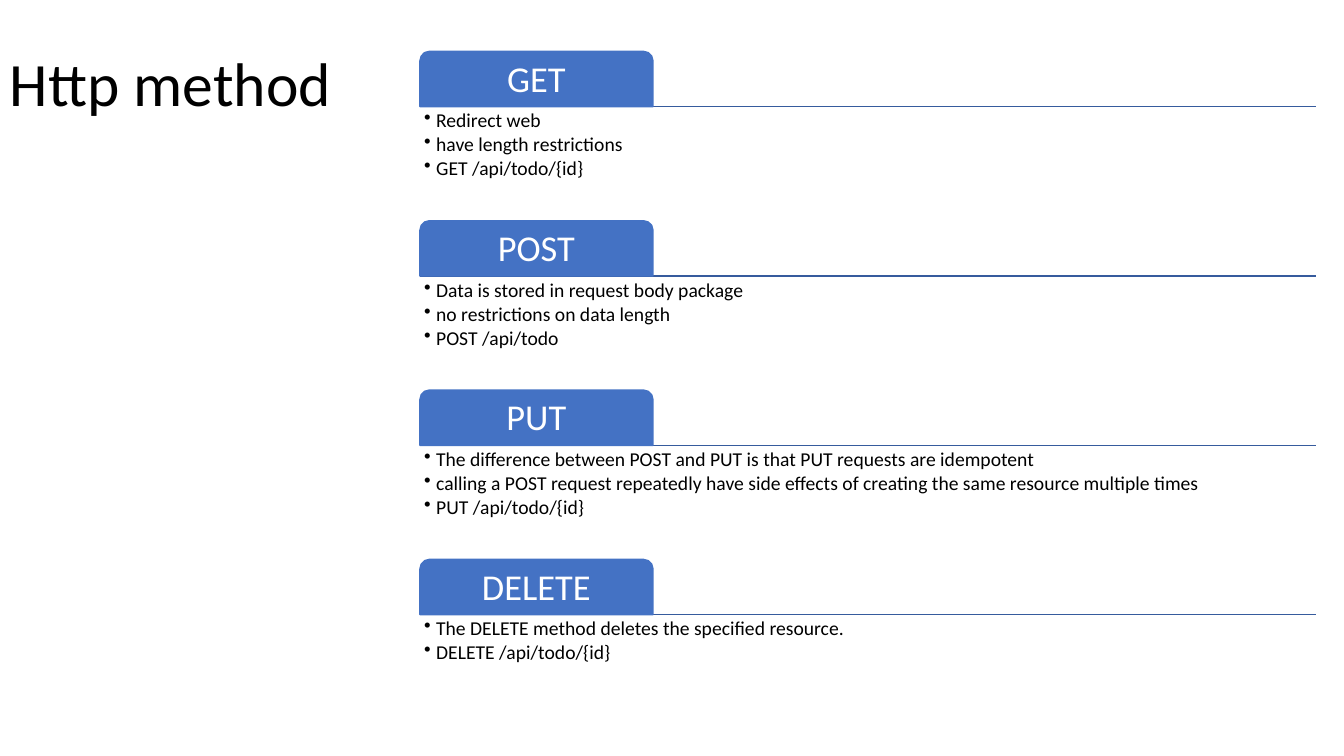
import dataclasses

import pptx
import pptx.dml.color
import pptx.enum.shapes
import pptx.enum.text
import pptx.oxml
import pptx.oxml.ns
import pptx.util
from lxml import etree

COLUMNS, ROWS = 160, 90
CELL = pptx.util.Inches(7.5) / ROWS

METHODS = [
    ("GET", ["Redirect web", "have length restrictions", "GET /api/todo/{id}"]),
    ("POST", ["Data is stored in request body package",
              "no restrictions on data length", "POST /api/todo"]),
    ("PUT", ["The difference between POST and PUT is that PUT requests are idempotent",
             "calling a POST request repeatedly have side effects of creating "
             "the same resource multiple times",
             "PUT /api/todo/{id}"]),
    ("DELETE", ["The DELETE method deletes the specified resource.",
                "DELETE /api/todo/{id}"]),
]


@dataclasses.dataclass(frozen=True)
class Theme:
    """Colours, font and type sizes of the slide."""
    font: str = "Calibri"
    text: str = "000000"
    tab: str = "4472C4"
    tab_text: str = "FFFFFF"
    rule: str = "365B9D"
    title_size: int = 44
    tab_size: int = 26
    bullet_size: int = 14
    rule_width: int = 1


@dataclasses.dataclass(frozen=True)
class Box:
    """A rectangle measured in grid columns and rows."""
    left: float
    top: float
    width: float
    height: float

    def emu(self):
        """Return left, top, width and height as slide lengths."""
        return [round(CELL * value) for value in dataclasses.astuple(self)]


THEME = Theme()


def rgb(value):
    """Return a colour from its hex digits."""
    return pptx.dml.color.RGBColor.from_string(value)


def write(shape, lines, size, color, inset, align="LEFT", anchor="TOP", after=0):
    """Fill a shape with formatted paragraphs and return them."""
    frame = shape.text_frame
    frame.text = "\n".join(lines)
    frame.word_wrap = True
    frame.vertical_anchor = pptx.enum.text.MSO_ANCHOR[anchor]
    frame.margin_left = frame.margin_right = pptx.util.Inches(inset)
    frame.margin_top = frame.margin_bottom = pptx.util.Inches(min(inset, 0.05))
    for para in frame.paragraphs:
        para.alignment = pptx.enum.text.PP_ALIGN[align]
        para.line_spacing = 0.9
        para.space_after = pptx.util.Pt(after)
        for span in para.runs:
            span.font.name = THEME.font
            span.font.size = pptx.util.Pt(size)
            span.font.color.rgb = rgb(color)
    return frame.paragraphs


def add_bullet(para):
    """Give a paragraph a hanging round bullet."""
    properties = para._p.get_or_add_pPr()
    indent = pptx.util.Inches(0.12)
    properties.set("marL", str(indent))
    properties.set("indent", str(-indent))
    bullet = etree.SubElement(properties, pptx.oxml.ns.qn("a:buChar"))
    bullet.set("char", "•")


def add_title(page, box, title):
    """Place the slide title, centred vertically in its box."""
    shape = page.shapes.add_textbox(*box.emu())
    write(shape, [title], THEME.title_size, THEME.text, 0.1, anchor="MIDDLE")


def add_rule(page, box):
    """Draw a thin line along the top edge of the box."""
    left, top, width, _ = box.emu()
    rule = page.shapes.add_connector(
        pptx.enum.shapes.MSO_CONNECTOR.STRAIGHT, left, top, left + width, top)
    rule.line.color.rgb = rgb(THEME.rule)
    rule.line.width = pptx.util.Pt(THEME.rule_width)
    etree.SubElement(rule._element.spPr, pptx.oxml.ns.qn("a:effectLst"))


def add_tab(page, box, name):
    """Place a method name on a tab with rounded top corners."""
    tab = page.shapes.add_shape(
        pptx.enum.shapes.MSO_SHAPE.ROUND_2_SAME_RECTANGLE, *box.emu())
    tab.adjustments[0] = 0.17
    tab.adjustments[1] = 0
    tab.shadow.inherit = False
    tab.fill.solid()
    tab.fill.fore_color.rgb = rgb(THEME.tab)
    tab.line.color.rgb = rgb(THEME.tab)
    tab.line.width = pptx.util.Pt(THEME.rule_width)
    write(tab, [name], THEME.tab_size, THEME.tab_text, 0.05, "CENTER", "MIDDLE")


def add_method(page, box, name, notes):
    """Place one method: a tab, the rule under it and its bullets."""
    tab_height = box.height / 3
    body = Box(box.left, box.top + tab_height, box.width, box.height - tab_height)
    add_rule(page, body)
    add_tab(page, Box(box.left, box.top, box.width * 0.26, tab_height), name)
    shape = page.shapes.add_textbox(*body.emu())
    for para in write(shape, notes, THEME.bullet_size, THEME.text, 0.04, after=2):
        add_bullet(para)


def add_methods(page, box, methods):
    """Stack the methods at equal steps down the box."""
    step = box.height / len(methods)
    for index, (name, notes) in enumerate(methods):
        area = Box(box.left, box.top + index * step, box.width, step * 0.98)
        add_method(page, area, name, notes)


def main():
    """Build and save the deck."""
    deck = pptx.Presentation()
    deck.slide_width = round(CELL * COLUMNS)
    deck.slide_height = round(CELL * ROWS)
    page = deck.slides.add_slide(deck.slide_layouts[6])
    add_title(page, Box(0, 1.56, 138, 17.4), "Http method")
    add_methods(page, Box(50, 6.12, 106.7, 80.64), METHODS)
    deck.save("out.pptx")


main()
